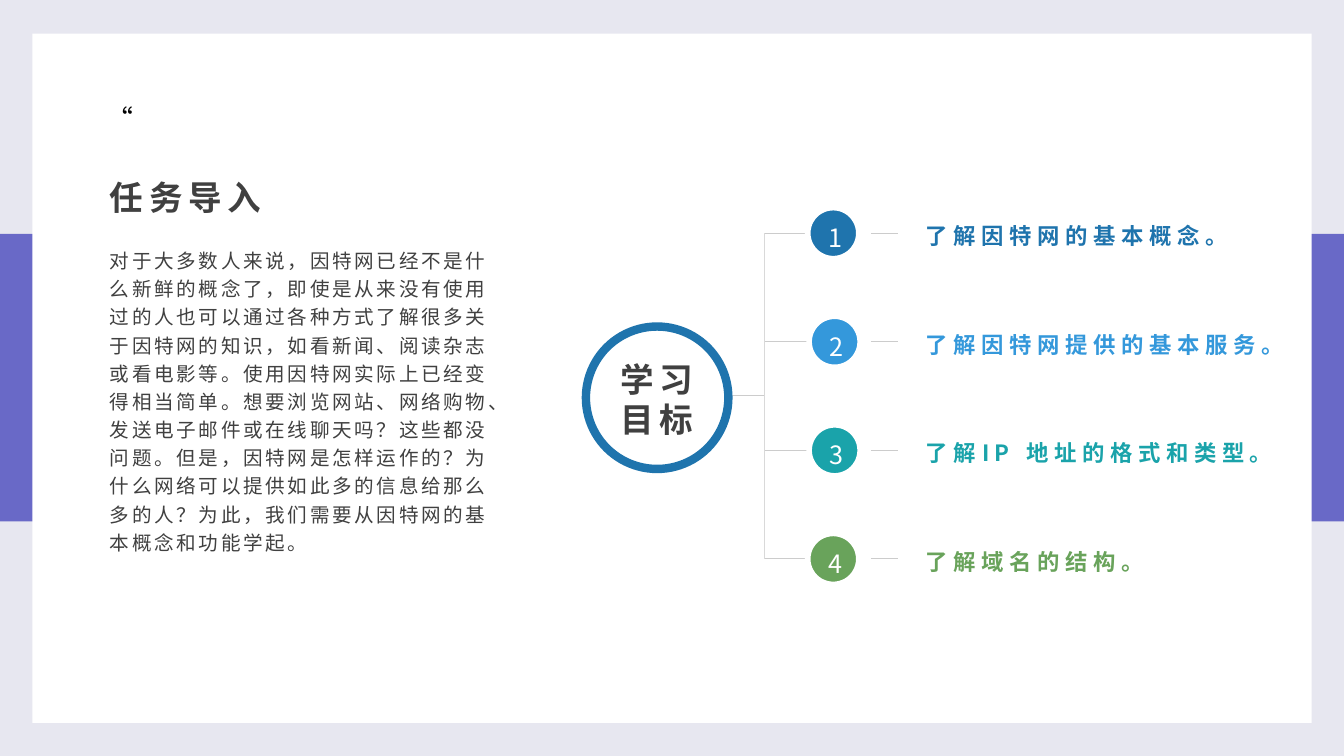
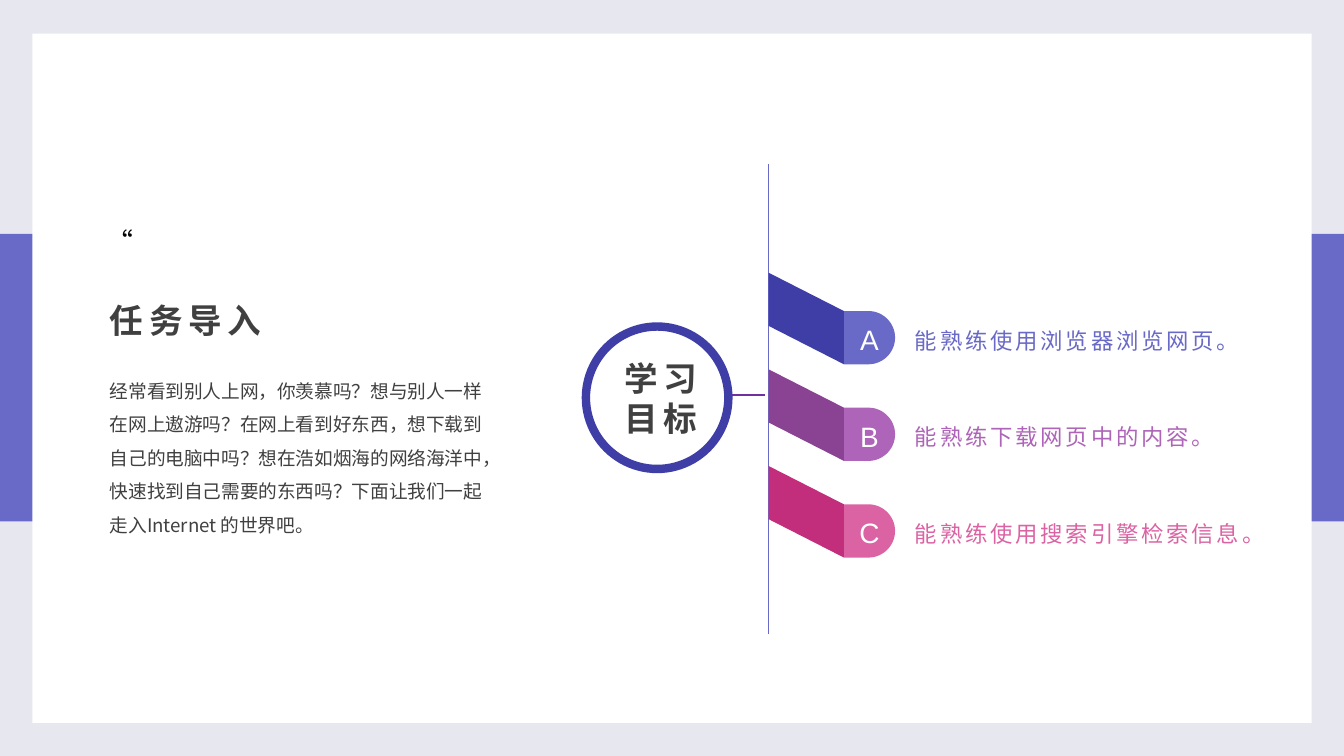
import math

import pptx
import pptx.util
import pptx.dml.color
import pptx.enum.shapes
import pptx.enum.text
import pptx.oxml
import pptx.oxml.ns

RGB = pptx.dml.color.RGBColor
SHAPE = pptx.enum.shapes.MSO_SHAPE
ANCHOR = pptx.enum.text.MSO_ANCHOR
ALIGN = pptx.enum.text.PP_ALIGN
AUTO_SIZE = pptx.enum.text.MSO_AUTO_SIZE
Pt = pptx.util.Pt

# The slide is a grid of square cells, 100 columns by 56.25 rows.
CELL = pptx.util.Inches(0.1)
COLUMNS, ROWS = 100, 56.25

BACKDROP = RGB(0xE7, 0xE7, 0xF0)
VIOLET = RGB(0x69, 0x69, 0xC7)
WHITE = RGB(0xFF, 0xFF, 0xFF)
BLACK = RGB(0x00, 0x00, 0x00)
INK = RGB(0x40, 0x40, 0x40)
GREY = RGB(0xCC, 0xCC, 0xCC)
LIGHT_GREY = RGB(0xD9, 0xD9, 0xD9)
PURPLE = RGB(0x70, 0x30, 0xA0)
INDIGO = RGB(0x3E, 0x3E, 0xA6)
NAVY = RGB(0x1F, 0x74, 0xAD)
SKY = RGB(0x34, 0x98, 0xDB)
TEAL = RGB(0x1A, 0xA3, 0xAA)
GREEN = RGB(0x69, 0xA3, 0x5B)
PLUM = RGB(0x89, 0x43, 0x92)
ORCHID = RGB(0xAE, 0x64, 0xB8)
CRIMSON = RGB(0xC2, 0x2D, 0x7C)
PINK = RGB(0xDB, 0x63, 0xA3)

CJK = "Noto Sans CJK SC"
MIDDLE = {"vertical_anchor": ANCHOR.MIDDLE}
SIDE = {"margin_left": CELL * 0.7, "margin_right": CELL * 0.7, "margin_top": CELL * 0.4}
GROW = {"auto_size": AUTO_SIZE.SHAPE_TO_FIT_TEXT}

# Each format: frame, paragraph and font attributes, colour, letter spacing in points.
QUOTE = {"frame": MIDDLE | SIDE | {"margin_bottom": CELL * 0.4},
         "paragraph": {"line_spacing": 1.3},
         "font": {"name": CJK, "size": Pt(14.4)}, "color": BLACK}
HEADING = {"paragraph": {"line_spacing": 1.2},
           "font": {"name": CJK, "size": Pt(18), "bold": True}, "color": INK, "spacing": 3}
GOAL = HEADING | {"frame": MIDDLE, "paragraph": {"alignment": ALIGN.CENTER}}
LONG_INTRO = {"frame": GROW, "paragraph": {"line_spacing": 1.2},
              "font": {"name": CJK, "size": Pt(10.5)}, "color": INK, "spacing": 1.5}
SHORT_INTRO = {"frame": GROW, "paragraph": {"line_spacing": 1.5},
               "font": {"name": CJK, "size": Pt(10)}, "color": INK}
NUMBER = {"frame": MIDDLE, "paragraph": {"line_spacing": 1.3, "alignment": ALIGN.CENTER},
          "font": {"name": CJK, "size": Pt(13.5)}, "color": WHITE}
CONCEPT = {"frame": MIDDLE | SIDE | {"margin_bottom": 0},
           "font": {"name": CJK, "size": Pt(12), "bold": True}, "spacing": 3}
LETTER = {"frame": MIDDLE, "paragraph": {"line_spacing": 1.1, "alignment": ALIGN.CENTER},
          "font": {"name": "Arial", "size": Pt(15)}, "color": WHITE, "spacing": 3}
SKILL = {"frame": MIDDLE, "paragraph": {"line_spacing": 1.2},
         "font": {"name": "Arial", "size": Pt(12)}, "spacing": 1.5}


def add_part(slide, form, cells, text="", style=None, fill=None, outline=None):
    """Add a text box (form None), a preset shape, or a polygon (form "polygon").

    cells is left, top, width, height, or the corner points of a polygon.
    """
    if form == "polygon":
        points = [(round(x * CELL), round(y * CELL)) for x, y in cells]
        builder = slide.shapes.build_freeform(*points[0])
        builder.add_line_segments(points[1:], close=True)
        part = builder.convert_to_shape()
    else:
        box = [round(c * CELL) for c in cells]
        part = slide.shapes.add_shape(form, *box) if form else slide.shapes.add_textbox(*box)
    if form:
        part.shadow.inherit = False
        part.fill.solid()
        part.fill.fore_color.rgb = fill
        if outline:
            part.line.color.rgb, part.line.width = outline
        else:
            part.line.fill.background()
    if text:
        frame = part.text_frame
        frame.word_wrap = True
        for name, value in style.get("frame", {}).items():
            setattr(frame, name, round(value) if name.startswith("margin") else value)
        frame.text = text
        for paragraph in frame.paragraphs:
            for name, value in style.get("paragraph", {}).items():
                setattr(paragraph, name, value)
            run = paragraph.runs[0]
            for name, value in style["font"].items():
                setattr(run.font, name, value)
            run.font.color.rgb = style["color"]
            properties = run.font._element
            properties.set("spc", str(round(style.get("spacing", 0) * 100)))
            east_asian = pptx.oxml.parse_xml(
                f'<a:ea {pptx.oxml.ns.nsdecls("a")} typeface="{CJK}"/>')
            properties.find(pptx.oxml.ns.qn("a:latin")).addnext(east_asian)
    return part


def add_line(slide, start, end, color, width=0.5):
    ends = [round(c * CELL) for c in (*start, *end)]
    line = slide.shapes.add_connector(pptx.enum.shapes.MSO_CONNECTOR.STRAIGHT, *ends)
    line.line.color.rgb = color
    line.line.width = Pt(width)
    line._element.spPr.append(
        pptx.oxml.parse_xml(f'<a:effectLst {pptx.oxml.ns.nsdecls("a")}/>'))


deck = pptx.Presentation()
deck.slide_width = round(COLUMNS * CELL)
deck.slide_height = round(ROWS * CELL)

# Shared on both slides: backdrop, band, card, heading and the goal ring.
# Quote row, heading row, intro row and height, intro, format, ring, stem, goal text box.
pages = [
    (6.5, 12.1, 17.7, 24.3,
     "对于大多数人来说，因特网已经不是什么新鲜的概念了，即使是从来没有使用过的人也可以通过"
     "各种方式了解很多关于因特网的知识，如看新闻、阅读杂志或看电影等。使用因特网实际上已经变得"
     "相当简单。想要浏览网站、网络购物、发送电子邮件或在线聊天吗？这些都没问题。但是，因特网是"
     "怎样运作的？为什么网络可以提供如此多的信息给那么多的人？为此，我们需要从因特网的基本概念"
     "和功能学起。",
     LONG_INTRO, NAVY, (GREY, 0.5), (42.2, 27.8, 13.3, 3.8)),
    (15.6, 21.2, 26.9, 13.6,
     "经常看到别人上网，你羡慕吗？想与别人一样在网上遨游吗？在网上看到好东西，想下载到自己的"
     "电脑中吗？想在浩如烟海的网络海洋中，快速找到自己需要的东西吗？下面让我们一起走入"
     "Internet 的世界吧。",
     SHORT_INTRO, INDIGO, (PURPLE, 0.75), (43.8, 27.7, 10.7, 3.8)),
]
LEFT = 7.2
for quote_row, heading_row, intro_row, intro_rows, intro, intro_style, ring, stem, goal in pages:
    slide = deck.slides.add_slide(deck.slide_layouts[6])
    slide.background.fill.solid()
    slide.background.fill.fore_color.rgb = BACKDROP
    add_part(slide, SHAPE.RECTANGLE, (0, 17.4, COLUMNS, 21.4), fill=VIOLET)
    add_part(slide, SHAPE.RECTANGLE, (2.4, 2.5, COLUMNS - 4.8, 51.3), fill=WHITE)
    add_part(slide, None, (LEFT, quote_row, 3.4, 4), "“", QUOTE)
    add_part(slide, None, (LEFT, intro_row, 30.6, intro_rows), intro, intro_style)
    add_part(slide, None, (LEFT, heading_row, 27.3, 4.7), "任务导入", HEADING)
    add_line(slide, (54.5, 29.4), (56.9, 29.4), *stem)
    add_part(slide, SHAPE.OVAL, (43.6, 24.3, 10.6, 10.6), fill=WHITE, outline=(ring, Pt(4.5)))
    add_part(slide, None, goal, "学习\n目标", GOAL)

concepts_slide, skills_slide = deck.slides

# Slide 1: numbered concepts on a bracket.
concepts = [
    ("了解因特网的基本概念。", NAVY, 60.1),
    ("了解因特网提供的基本服务。", SKY, 60.2),
    ("了解IP 地址的格式和类型。", TEAL, 60.2),
    ("了解域名的结构。", GREEN, 60.1),
]
TRUNK, FIRST_ROW, CONCEPT_STEP = 56.9, 17.35, 8.08
for index, (concept, color, badge_left) in enumerate(concepts):
    row = FIRST_ROW + index * CONCEPT_STEP
    add_line(concepts_slide, (TRUNK, row), (62.3, row), GREY)
    add_line(concepts_slide, (64.8, row), (66.8, row), GREY)
    add_part(concepts_slide, SHAPE.OVAL, (badge_left, row - 1.9, 3.8, 3.8),
             str(index + 1), NUMBER, color, (WHITE, Pt(3)))
    add_part(concepts_slide, None, (68.2, row - 1.65, 28, 3.3),
             concept, CONCEPT | {"color": color})
add_line(concepts_slide, (TRUNK, FIRST_ROW), (TRUNK, FIRST_ROW + 3 * CONCEPT_STEP), LIGHT_GREY)

# Slide 2: lettered skills on ribbons folded out from a pole.
skills = [
    ("A", "能熟练使用浏览器浏览网页。", INDIGO, VIOLET),
    ("B", "能熟练下载网页中的内容。", PLUM, ORCHID),
    ("C", "能熟练使用搜索引擎检索信息。", CRIMSON, PINK),
]
POLE, FOLD, TAB_END = 57.2, 62.8, 66.6
RIBBON, DROP, SKILL_STEP = 3.96, 2.85, 7.19
RADIUS = RIBBON / 2
add_line(skills_slide, (POLE, 12.2), (POLE, 47.2), VIOLET)
for index, (letter, skill, dark, light) in enumerate(skills):
    top = 20.3 + index * SKILL_STEP
    tab_top = top + DROP
    add_part(skills_slide, "polygon",
             [(POLE, top), (FOLD, tab_top), (FOLD, tab_top + RIBBON), (POLE, top + RIBBON)],
             fill=dark)
    arc = [(TAB_END - RADIUS + RADIUS * math.cos(math.radians(angle)),
            tab_top + RADIUS + RADIUS * math.sin(math.radians(angle)))
           for angle in range(-90, 91, 6)]
    add_part(skills_slide, "polygon", [(FOLD, tab_top), *arc, (FOLD, tab_top + RIBBON)],
             letter, LETTER, light)
    add_part(skills_slide, None, (67.1, tab_top - 0.22, 29, 4.4), skill, SKILL | {"color": light})

deck.save("out.pptx")
